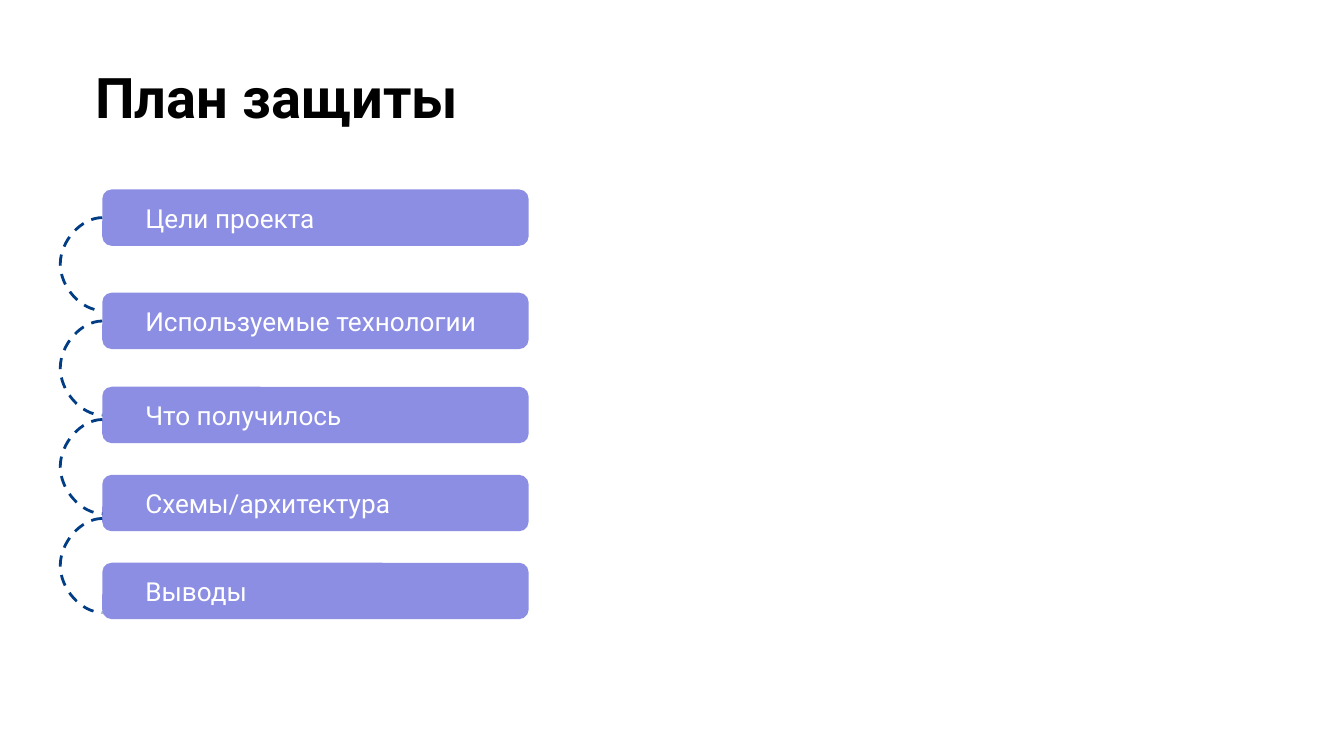
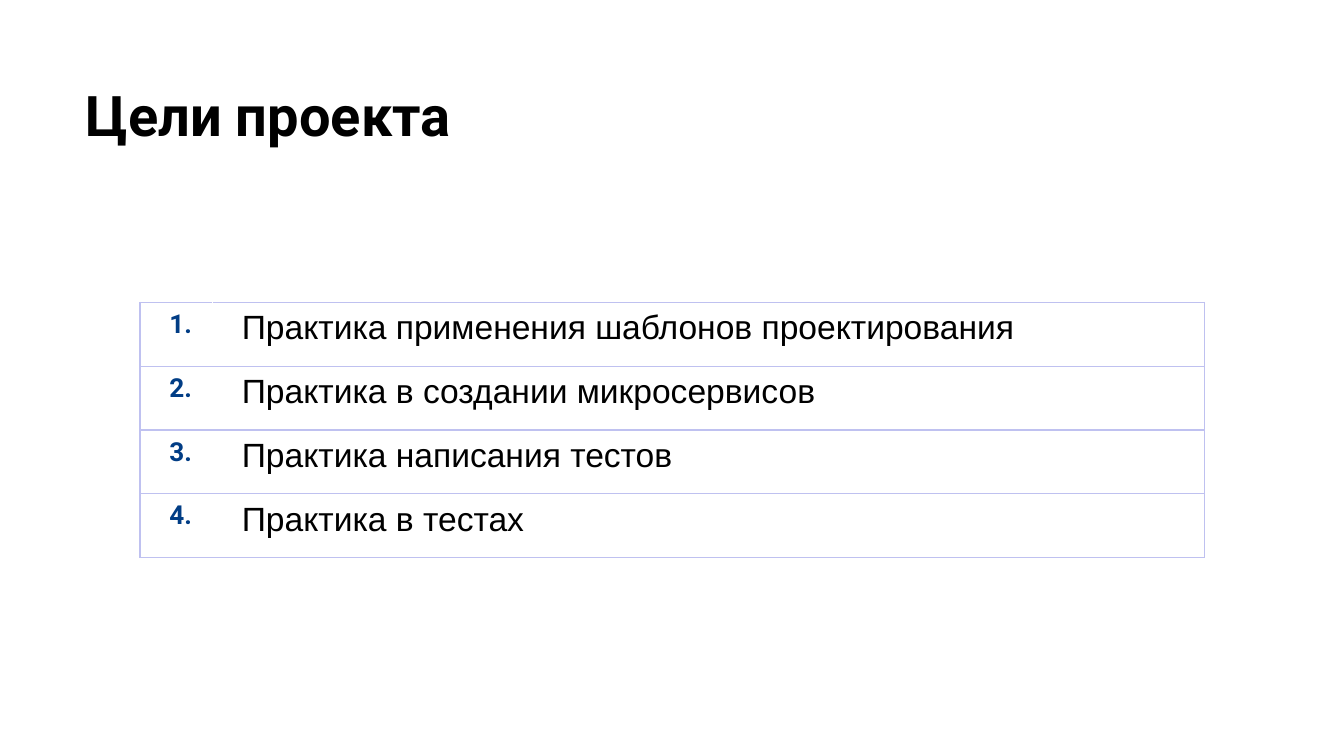
from dataclasses import dataclass

from lxml.etree import SubElement
from pptx import Presentation
from pptx.dml.color import RGBColor
from pptx.enum.dml import MSO_LINE_DASH_STYLE as Dash
from pptx.enum.shapes import MSO_CONNECTOR as Connector, MSO_SHAPE as Shape
from pptx.enum.text import MSO_ANCHOR as Anchor, PP_ALIGN as Align
from pptx.oxml.ns import qn
from pptx.slide import Slide
from pptx.table import _Cell as Cell
from pptx.text.text import TextFrame
from pptx.util import Pt


@dataclass(frozen=True)
class TextStyle:
    font: str
    size: float
    color: str
    bold: bool = False


@dataclass(frozen=True)
class Theme:
    paper: str = "FFFFFF"
    bar: str = "8B8EE3"
    link: str = "013D85"
    grid: str = "BFC1F0"
    title: TextStyle = TextStyle("Roboto", 30, "000000", True)
    label: TextStyle = TextStyle("Roboto", 14, "FFFFFF")
    number: TextStyle = TextStyle("Roboto", 14, "013D85", True)
    goal: TextStyle = TextStyle("Arial", 18, "000000")


@dataclass(frozen=True)
class Box:
    left: float
    top: float
    width: float
    height: float

    def lengths(self) -> tuple[Pt, Pt, Pt, Pt]:
        return Pt(self.left), Pt(self.top), Pt(self.width), Pt(self.height)


@dataclass(frozen=True)
class PlanStep:
    text: str
    top: float


@dataclass(frozen=True)
class Link:
    top: float
    height: float


THEME = Theme()
BAR_LEFT, BAR_WIDTH, BAR_HEIGHT = 54.8, 228.4, 30.2
LINK_WIDTH, LINK_BEND = 0.06, -39687500
STEPS = (
    PlanStep("Цели проекта", 101.5),
    PlanStep("Используемые технологии", 156.8),
    PlanStep("Что получилось", 207.2),
    PlanStep("Схемы/архитектура", 254.4),
    PlanStep("Выводы", 301.5),
)
LINKS = (Link(116.6, 49.8), Link(172, 50.4), Link(224.8, 50.4), Link(277.8, 50.4))
GOALS = (
    "Практика применения шаблонов проектирования",
    "Практика в создании микросервисов",
    "Практика написания тестов",
    "Практика в тестах",
)
GOALS_BOX = Box(75, 162, 570.2, 136.8)
NUMBER_WIDTH = 38.8


def write(frame: TextFrame, text: str, style: TextStyle) -> None:
    paragraph = frame.paragraphs[0]
    paragraph.alignment = Align.LEFT
    run = paragraph.add_run()
    run.text = text
    run.font.name = style.font
    run.font.size = Pt(style.size)
    run.font.bold = style.bold
    run.font.color.rgb = RGBColor.from_string(style.color)


def set_insets(frame: TextFrame, side: float, edge: float) -> None:
    frame.word_wrap = True
    frame.margin_left = frame.margin_right = Pt(side)
    frame.margin_top = frame.margin_bottom = Pt(edge)


def add_titled_slide(presentation: Presentation, title: str, box: Box) -> Slide:
    slide = presentation.slides.add_slide(presentation.slide_layouts[6])
    slide.background.fill.solid()
    slide.background.fill.fore_color.rgb = RGBColor.from_string(THEME.paper)
    frame = slide.shapes.add_textbox(*box.lengths()).text_frame
    set_insets(frame, 7.2, 7.2)
    write(frame, title, THEME.title)
    return slide


def add_step(slide: Slide, step: PlanStep) -> None:
    box = Box(BAR_LEFT, step.top, BAR_WIDTH, BAR_HEIGHT)
    shape = slide.shapes.add_shape(Shape.ROUNDED_RECTANGLE, *box.lengths())
    shape.shadow.inherit = False
    shape.fill.solid()
    shape.fill.fore_color.rgb = RGBColor.from_string(THEME.bar)
    shape.line.fill.background()
    set_insets(shape.text_frame, 21.6, 7.2)
    shape.text_frame.vertical_anchor = Anchor.MIDDLE
    write(shape.text_frame, step.text, THEME.label)


def add_link(slide: Slide, link: Link) -> None:
    connector = slide.shapes.add_connector(
        Connector.CURVE,
        Pt(BAR_LEFT), Pt(link.top),
        Pt(BAR_LEFT + LINK_WIDTH), Pt(link.top + link.height),
    )
    connector.line.color.rgb = RGBColor.from_string(THEME.link)
    connector.line.width = Pt(1.5)
    connector.line.dash_style = Dash.DASH
    properties = connector._element.spPr
    guides = properties.find(qn("a:prstGeom")).find(qn("a:avLst"))
    SubElement(guides, qn("a:gd"), name="adj1", fmla=f"val {LINK_BEND}")
    SubElement(properties, qn("a:effectLst"))


def set_borders(cell: Cell, left: str, right: str) -> None:
    properties = cell._tc.get_or_add_tcPr()
    sides = {"lnL": left, "lnR": right, "lnT": THEME.grid, "lnB": THEME.grid}
    for index, (side, color) in enumerate(sides.items()):
        line = SubElement(properties, qn(f"a:{side}"), w=str(Pt(0.75)))
        fill = SubElement(line, qn("a:solidFill"))
        SubElement(fill, qn("a:srgbClr"), val=color)
        properties.insert(index, line)


def add_goals(slide: Slide) -> None:
    frame = slide.shapes.add_table(len(GOALS), 2, *GOALS_BOX.lengths())
    table = frame.table
    table.first_row = table.horz_banding = False
    table.columns[0].width = Pt(NUMBER_WIDTH)
    table.columns[1].width = Pt(GOALS_BOX.width - NUMBER_WIDTH)
    for row, goal in enumerate(GOALS):
        contents = (
            (f"{row + 1}.", THEME.number, THEME.grid, THEME.paper),
            (goal, THEME.goal, THEME.paper, THEME.grid),
        )
        for column, (text, style, left, right) in enumerate(contents):
            cell = table.cell(row, column)
            cell.fill.background()
            cell.margin_left, cell.margin_right = Pt(15.8), Pt(7.2)
            cell.margin_top = cell.margin_bottom = Pt(3.6)
            write(cell.text_frame, text, style)
            set_borders(cell, left, right)


def main() -> None:
    """Build the defence plan and the project goals slides."""
    presentation = Presentation()
    presentation.slide_width, presentation.slide_height = Pt(720), Pt(405)

    plan = add_titled_slide(presentation, "План защиты", Box(44, 26.6, 513.4, 45.4))
    for step in STEPS:
        add_step(plan, step)
    for link in LINKS:
        add_link(plan, link)

    goals = add_titled_slide(presentation, "Цели проекта", Box(38.9, 36, 671, 103))
    add_goals(goals)

    presentation.save("out.pptx")


if __name__ == "__main__":
    main()
